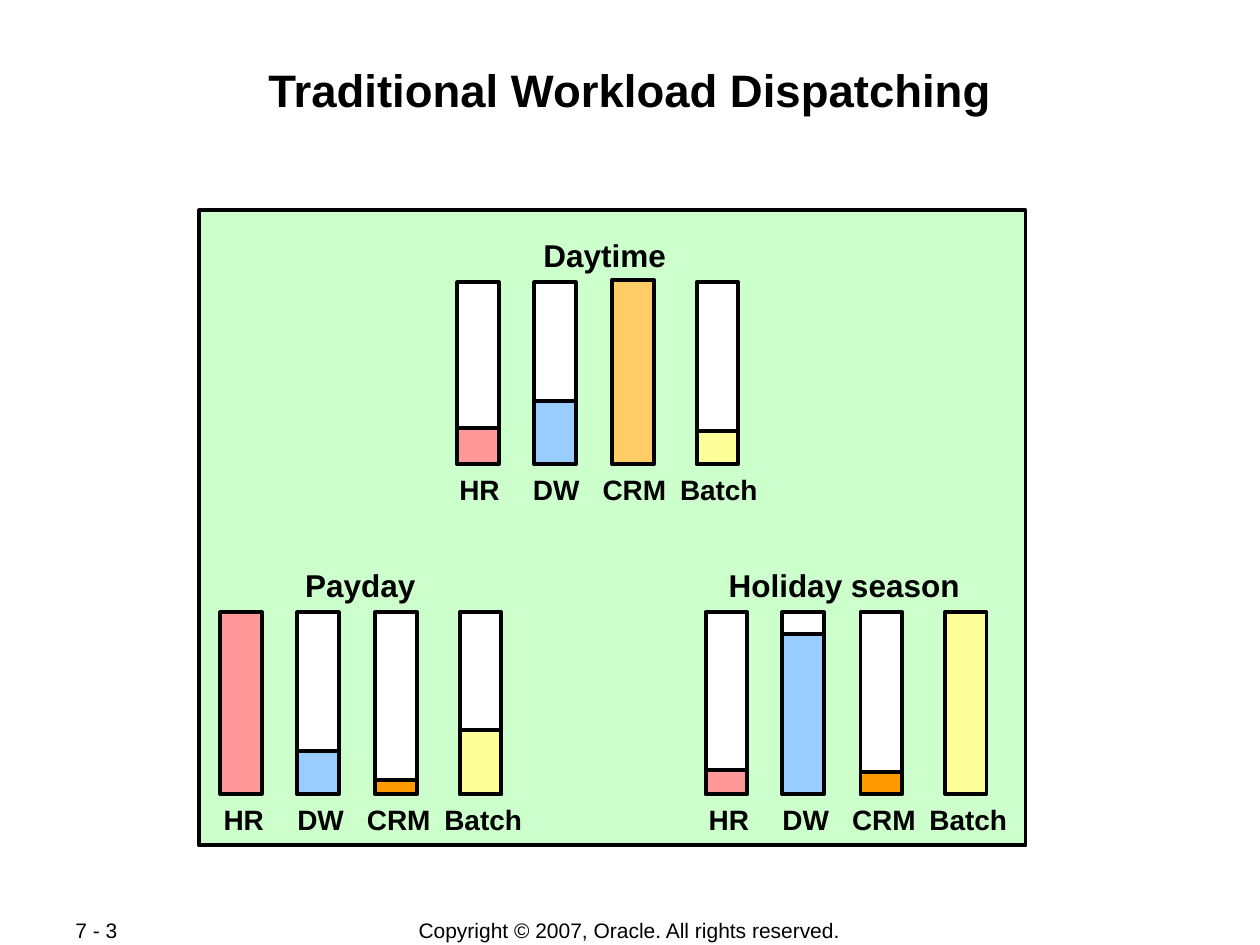
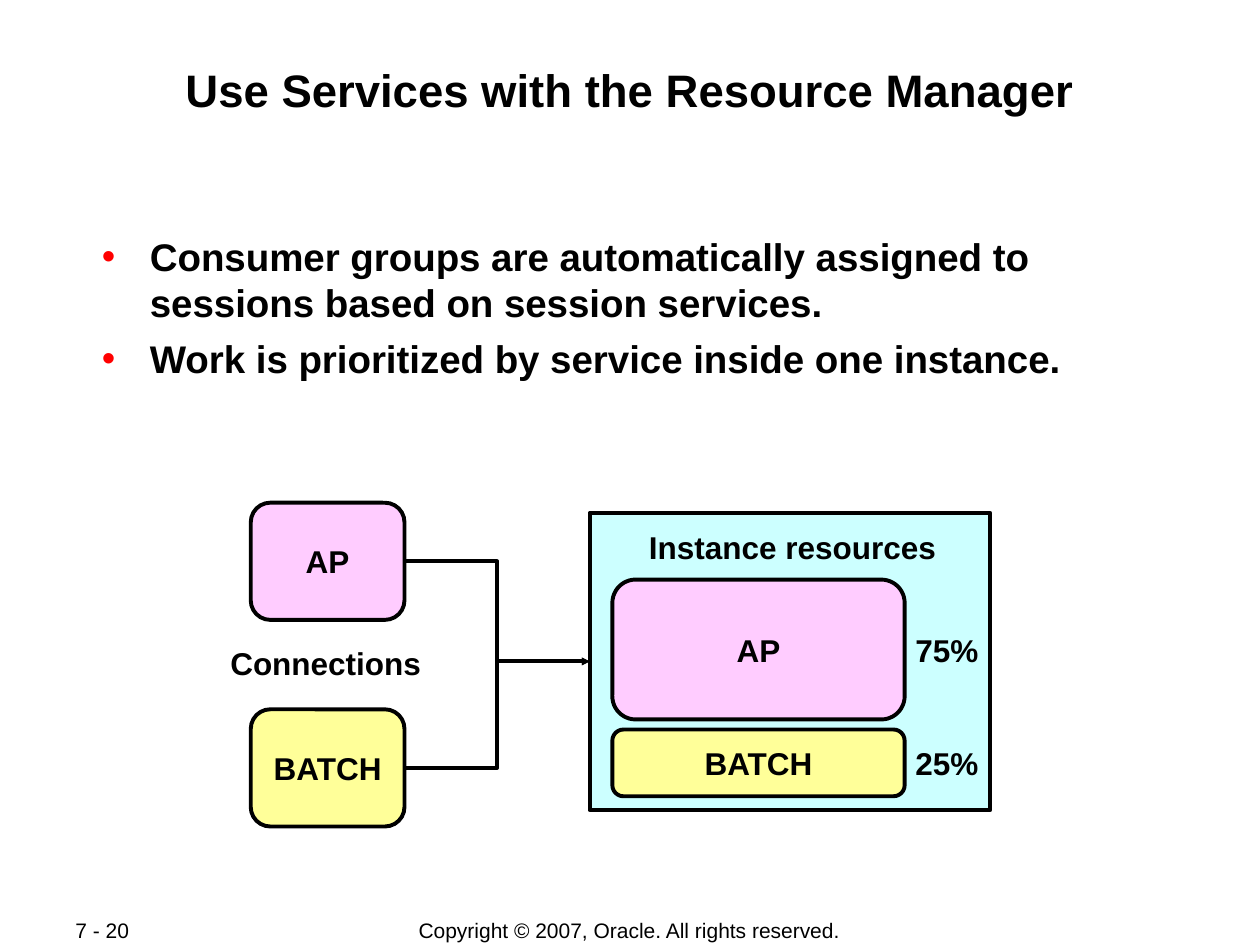
import dataclasses

import lxml.etree
import pptx
import pptx.dml.color
import pptx.enum.shapes
import pptx.enum.text
import pptx.oxml.ns
import pptx.util

RGB = pptx.dml.color.RGBColor
SHAPE = pptx.enum.shapes.MSO_SHAPE
ALIGN = pptx.enum.text.PP_ALIGN
ANCHOR = pptx.enum.text.MSO_ANCHOR

BLACK = RGB(0x00, 0x00, 0x00)
WHITE = RGB(0xFF, 0xFF, 0xFF)
RED = RGB(0xFF, 0x00, 0x00)
MINT = RGB(0xCC, 0xFF, 0xCC)
AQUA = RGB(0xCC, 0xFF, 0xFF)
PINK = RGB(0xFF, 0xCC, 0xFF)
SALMON = RGB(0xFF, 0x99, 0x99)
SKY = RGB(0x99, 0xCC, 0xFF)
APRICOT = RGB(0xFF, 0xCC, 0x66)
ORANGE = RGB(0xFF, 0x99, 0x00)
YELLOW = RGB(0xFF, 0xFF, 0x99)

FONT = "Arial"
OUTLINE = pptx.util.Pt(2.25)

# The slide is a grid of 100 columns and 75 rows of square cells.
COLUMNS, ROWS = 100, 75
CELL = pptx.util.Inches(0.1)

WORKLOADS = ("HR", "DW", "CRM", "Batch")
BAR_LEFTS = (0, 6.1, 12.3, 19)
BAR_WIDTH, BAR_HEIGHT = 3.3, 14.4
LABEL_WIDTH, TITLE_WIDTH = 7, 24


@dataclasses.dataclass
class Box:
    """A rectangle measured in grid cells."""
    left: float
    top: float
    width: float
    height: float

    def inner(self, left, top, width, height):
        return Box(self.left + left, self.top + top, width, height)

    def lengths(self):
        sides = (self.left, self.top, self.width, self.height)
        return [round(side * CELL) for side in sides]


def drawing_element(parent, tag, **attributes):
    return lxml.etree.SubElement(parent, pptx.oxml.ns.qn(tag), **attributes)


def write(frame, text, size=18, bold=True, align=ALIGN.CENTER,
          anchor=ANCHOR.MIDDLE, wrap=False, inset=(0, 0.5), bullet=None,
          gap=0):
    """Fill a text frame, one paragraph for each line of text."""
    frame.word_wrap = wrap
    frame.vertical_anchor = anchor
    frame.margin_left = frame.margin_right = round(inset[0] * CELL)
    frame.margin_top = frame.margin_bottom = round(inset[1] * CELL)
    for index, line in enumerate(text.split("\n")):
        para = frame.add_paragraph() if index else frame.paragraphs[0]
        para.alignment = align
        if index:
            para.space_before = pptx.util.Pt(gap)
        if bullet:
            add_bullet(para, bullet)
        span = para.add_run()
        span.text = line
        span.font.name = FONT
        span.font.size = pptx.util.Pt(size)
        span.font.bold = bold
        span.font.color.rgb = BLACK


def add_bullet(para, color):
    properties = para._p.get_or_add_pPr()
    properties.set("marL", str(round(5.1 * CELL)))
    properties.set("indent", str(round(-3.8 * CELL)))
    holder = drawing_element(properties, "a:buClr")
    drawing_element(holder, "a:srgbClr", val=str(color))
    drawing_element(properties, "a:buFont", typeface=FONT)
    drawing_element(properties, "a:buChar", char="•")


def add_text(page, box, text, **text_format):
    label = page.shapes.add_textbox(*box.lengths())
    write(label.text_frame, text, **text_format)


def add_block(page, box, fill, kind=SHAPE.RECTANGLE, text=None):
    block = page.shapes.add_shape(kind, *box.lengths())
    block.shadow.inherit = False
    block.fill.solid()
    block.fill.fore_color.rgb = fill
    block.line.color.rgb = BLACK
    block.line.width = OUTLINE
    if text:
        write(block.text_frame, text)
    return block


def add_service(page, box, fill, text):
    return add_block(page, box, fill, SHAPE.FLOWCHART_ALTERNATE_PROCESS, text)


def add_elbow_arrow(page, source, target):
    """Lead from the right side of source to the left side of target."""
    arrow = page.shapes.add_connector(
        pptx.enum.shapes.MSO_CONNECTOR.ELBOW, 0, 0, 0, 0)
    arrow.begin_connect(source, 3)
    arrow.end_connect(target, 1)
    arrow.line.color.rgb = BLACK
    arrow.line.width = OUTLINE
    drawing_element(arrow.line._get_or_add_ln(), "a:tailEnd",
                    type="triangle", w="sm", len="sm")
    drawing_element(arrow._element.spPr, "a:effectLst")


def add_page(deck, title, number):
    """Start a slide with its title and footer."""
    page = deck.slides.add_slide(deck.slide_layouts[6])
    add_text(page, Box(27.5, 72.8, 44.9, 2.1),
             "Copyright © 2007, Oracle. All rights reserved.",
             size=12, bold=False, wrap=True)
    add_text(page, Box(5, 72.8, 10.6, 2), number, size=12, bold=False,
             align=ALIGN.LEFT, wrap=True, inset=(1, 0.5))
    add_text(page, Box(6.7, 4.8, 86.6, 9.6), title, size=26,
             anchor=ANCHOR.TOP, wrap=True, inset=(0.1, 0.1))
    return page


def add_bar_group(page, box, title, title_middle, label_shift, levels, colors):
    """Draw one bar for each workload, with the group title above."""
    title_left = title_middle - TITLE_WIDTH / 2
    add_text(page, box.inner(title_left, -4.2, TITLE_WIDTH, 4), title)
    for name, left, level, color in zip(WORKLOADS, BAR_LEFTS, levels, colors):
        if level != BAR_HEIGHT:
            add_block(page, box.inner(left, 0, BAR_WIDTH, BAR_HEIGHT), WHITE)
        add_block(page, box.inner(left, BAR_HEIGHT - level, BAR_WIDTH, level),
                  color)
        label_left = left + (BAR_WIDTH - LABEL_WIDTH) / 2 + label_shift
        add_text(page, box.inner(label_left, BAR_HEIGHT + 0.15, LABEL_WIDTH,
                                 3.7), name, size=16)


def add_workload_panel(page, box):
    add_block(page, box, MINT)
    daytime = (SALMON, SKY, APRICOT, YELLOW)
    seasonal = (SALMON, SKY, ORANGE, YELLOW)
    groups = (
        (20.5, 5.7, "Daytime", 11.7, 0.1, (2.8, 5, 14.6, 2.6), daytime),
        (1.7, 31.9, "Payday", 11.1, 0.2, (14.4, 3.4, 1.1, 5.1), seasonal),
        (40.2, 31.9, "Holiday season", 11, 0.2, (1.9, 12.7, 1.7, 14.4),
         seasonal),
    )
    for left, top, *details in groups:
        group_box = box.inner(left, top, 22.3, BAR_HEIGHT)
        add_bar_group(page, group_box, *details)


def add_instance(page, box):
    instance = add_block(page, box, AQUA)
    add_text(page, box.inner(3, 0.7, 26.2, 4), "Instance resources")
    shares = ((5.3, 11.1, PINK, "AP", "75%"),
              (17.2, 5.3, YELLOW, "BATCH", "25%"))
    for top, height, color, name, share in shares:
        add_service(page, box.inner(1.8, top, 23.2, height), color, name)
        add_text(page, box.inner(25.1, top + height / 2 - 2, 6.5, 4), share)
    return instance


def add_service_diagram(page, box):
    instance = add_instance(page, box.inner(29.5, 0.8, 31.8, 23.6))
    for top, color, name in ((0, PINK, "AP"), (16.4, YELLOW, "BATCH")):
        source = add_service(page, box.inner(2.6, top, 12.2, 9.3), color, name)
        add_elbow_arrow(page, source, instance)
    add_text(page, box.inner(0, 10.7, 17.1, 4), "Connections")


def main():
    deck = pptx.Presentation()
    deck.slide_width = COLUMNS * CELL
    deck.slide_height = ROWS * CELL

    page = add_page(deck, "Traditional Workload Dispatching", "7 - 3")
    add_workload_panel(page, Box(15.8, 16.7, 65.6, 50.4))

    page = add_page(deck, "Use Services with the Resource Manager", "7 - 20")
    add_text(page, Box(6.7, 18.4, 86.6, 12),
             "Consumer groups are automatically assigned to sessions based on "
             "session services.\n"
             "Work is prioritized by service inside one instance.",
             size=22, align=ALIGN.LEFT, anchor=ANCHOR.TOP, wrap=True,
             inset=(0.1, 0.1), bullet=RED, gap=5.5)
    add_service_diagram(page, Box(17.3, 39.9, 61.3, 25.7))

    deck.save("out.pptx")


if __name__ == "__main__":
    main()
